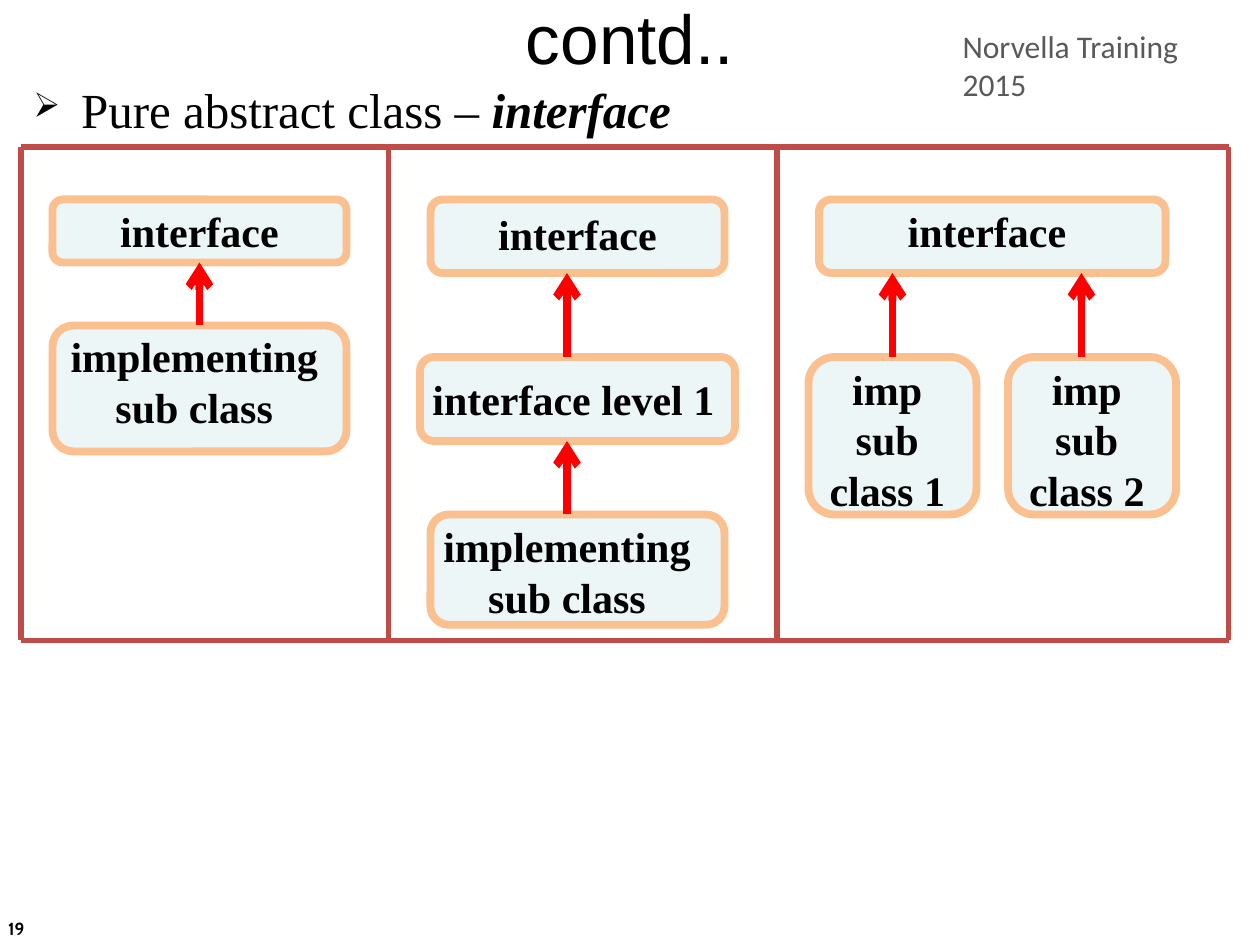
from pptx import Presentation
from pptx.dml.color import RGBColor
from pptx.enum.shapes import MSO_CONNECTOR, MSO_SHAPE
from pptx.enum.text import MSO_ANCHOR, PP_ALIGN
from pptx.oxml.ns import qn
from pptx.util import Inches, Pt
from lxml.etree import SubElement

COLS, ROWS = 120, 90
WIDE, HIGH = 10, 7.5
SERIF = "Times New Roman"


def paint(code):
    return RGBColor.from_string(code)


def grid(col, row):
    return Inches(col * WIDE / COLS), Inches(row * HIGH / ROWS)


def area(col, row, wide, high):
    return *grid(col, row), *grid(wide, high)


def add_text(slide, place, paras, size=24, font=SERIF, color="000000",
             bold=False, align=PP_ALIGN.LEFT, anchor=MSO_ANCHOR.TOP, wrap=True):
    """Each paragraph is a string or a list of (words, format) pairs."""
    frame = slide.shapes.add_textbox(*area(*place)).text_frame
    frame.word_wrap = wrap
    frame.vertical_anchor = anchor
    for i, runs in enumerate(paras):
        para = frame.add_paragraph() if i else frame.paragraphs[0]
        para.alignment = align
        for words, style in [(runs, {})] if isinstance(runs, str) else runs:
            run = para.add_run()
            run.text = words
            run.font.name, run.font.size = font, Pt(size)
            run.font.color.rgb = paint(color)
            run.font.bold = style.get("bold", bold)
            run.font.italic = style.get("italic", False)
    return frame


def add_bullet(para, mark, share, indent):
    props = para._p.get_or_add_pPr()
    props.set("marL", str(Inches(indent)))
    props.set("indent", str(-Inches(indent)))
    SubElement(props, qn("a:buSzPct")).set("val", str(share * 1000))
    SubElement(props, qn("a:buChar")).set("char", mark)


def add_box(slide, place):
    box = slide.shapes.add_shape(MSO_SHAPE.ROUNDED_RECTANGLE, *area(*place))
    box.shadow.inherit = False
    box.fill.solid()
    box.fill.fore_color.rgb = paint("BBE0E3")
    tint = box.fill._xPr.find(qn("a:solidFill"))[0]
    SubElement(tint, qn("a:alpha")).set("val", "26000")
    box.line.color.rgb = paint("FAC090")
    box.line.width = Pt(4.5)


def add_line(slide, start, end, color="BF4C48", width=3, arrow=False):
    line = slide.shapes.add_connector(
        MSO_CONNECTOR.STRAIGHT, *grid(*start), *grid(*end))
    line.line.color.rgb = paint(color)
    line.line.width = Pt(width)
    if arrow:
        SubElement(line.line._get_or_add_ln(), qn("a:tailEnd")).set("type", "arrow")
    SubElement(line._element.spPr, qn("a:effectLst"))


def add_frame(slide, cols, top, base):
    for col in cols:
        add_line(slide, (col, top), (col, base))
    for row in (top, base):
        add_line(slide, (cols[0], row), (cols[-1], row))


def main():
    deck = Presentation()
    deck.slide_width, deck.slide_height = Inches(WIDE), Inches(HIGH)
    slide = deck.slides.add_slide(deck.slide_layouts[6])

    # Page number, header, title and lead line
    add_text(slide, (-0.4, 86, 28, 4.8), ["19"], size=10, font="Cabin",
             bold=True, anchor=MSO_ANCHOR.MIDDLE)
    add_text(slide, (90.5, 2, 29.5, 4.8), ["Norvella Training 2015"], size=18,
             font="Calibri", color="595959", wrap=False)
    lead = add_text(slide, (2, 7, 115, 54), [[
        ("Pure abstract class – ", {}),
        ("interface", {"bold": True, "italic": True})]], size=28)
    lead.paragraphs[0].space_before = Pt(3)
    add_bullet(lead.paragraphs[0], "➢", 70, 0.38)
    add_text(slide, (0, 1, 120, 5), ["contd.."], size=39.6, font="Arial",
             align=PP_ALIGN.CENTER, anchor=MSO_ANCHOR.MIDDLE)

    # Class boxes, panel by panel
    for place in [(5, 19, 28, 6), (5, 31, 28, 12),
                  (41, 19, 28, 7), (40, 34, 30, 8), (41, 49, 28, 10.5),
                  (78, 19, 33, 7), (77, 34, 16, 15), (96, 34, 16, 15)]:
        add_box(slide, place)

    # Panel frame
    add_frame(slide, (2, 37, 74, 117), 14, 61)

    # Arrows from each class up to its parent
    for col, low, top in [(19, 31, 25), (54, 34, 26), (54, 49, 42),
                          (85, 34, 26), (103, 34, 26)]:
        add_line(slide, (col, low), (col, top), color="FF0000", width=4.5,
                 arrow=True)

    # Class names
    heir = ["implementing sub class"]
    for place, paras in [
            ((6, 19, 26, 6), ["interface"]),
            ((42, 19.3, 26, 6), ["interface"]),
            ((81, 19, 26, 6), ["interface"]),
            ((4, 30.9, 29, 10.9), heir),
            ((41, 49, 26, 10.9), heir),
            ((77, 34, 15, 15.7), ["imp sub", "class 1"]),
            ((96, 34, 15, 15.7), ["imp sub", "class 2"])]:
        add_text(slide, place, paras, bold=True, align=PP_ALIGN.CENTER)
    add_text(slide, (40, 35, 30, 6), ["interface level 1"], bold=True)

    deck.save("out.pptx")


main()
